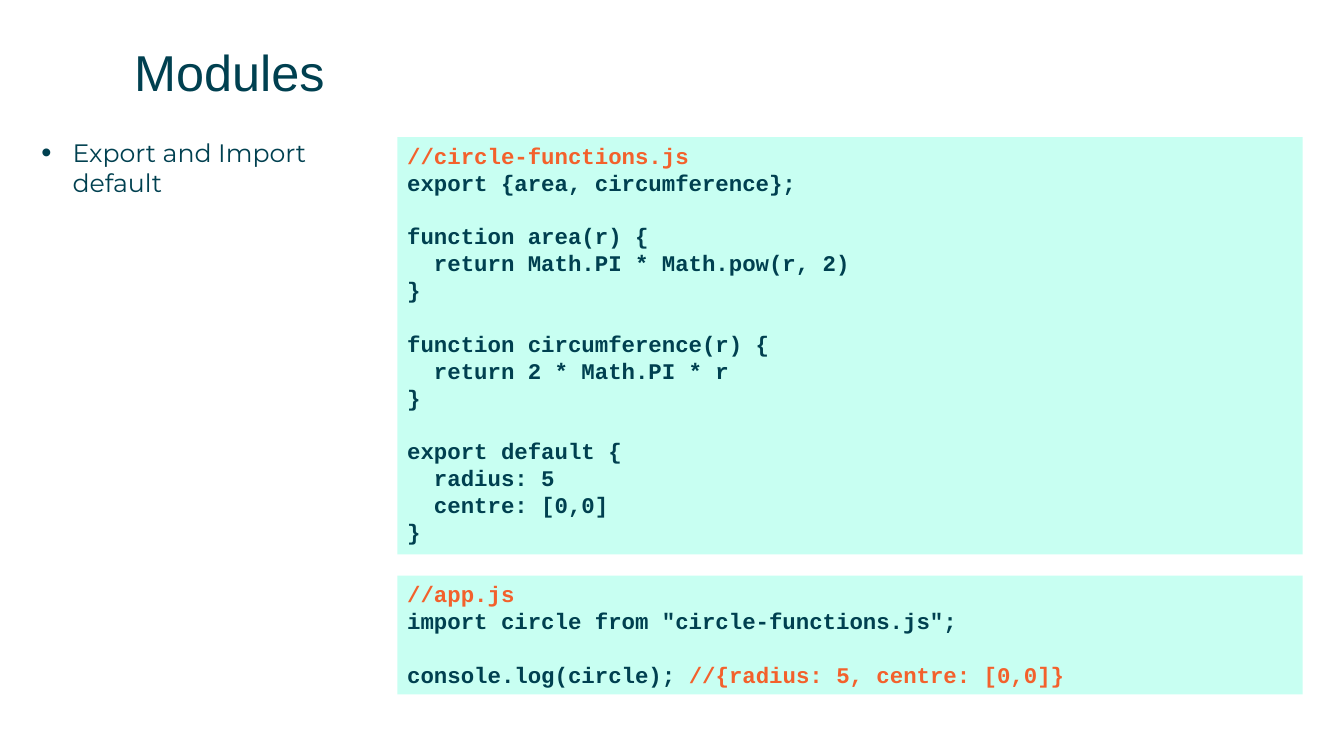
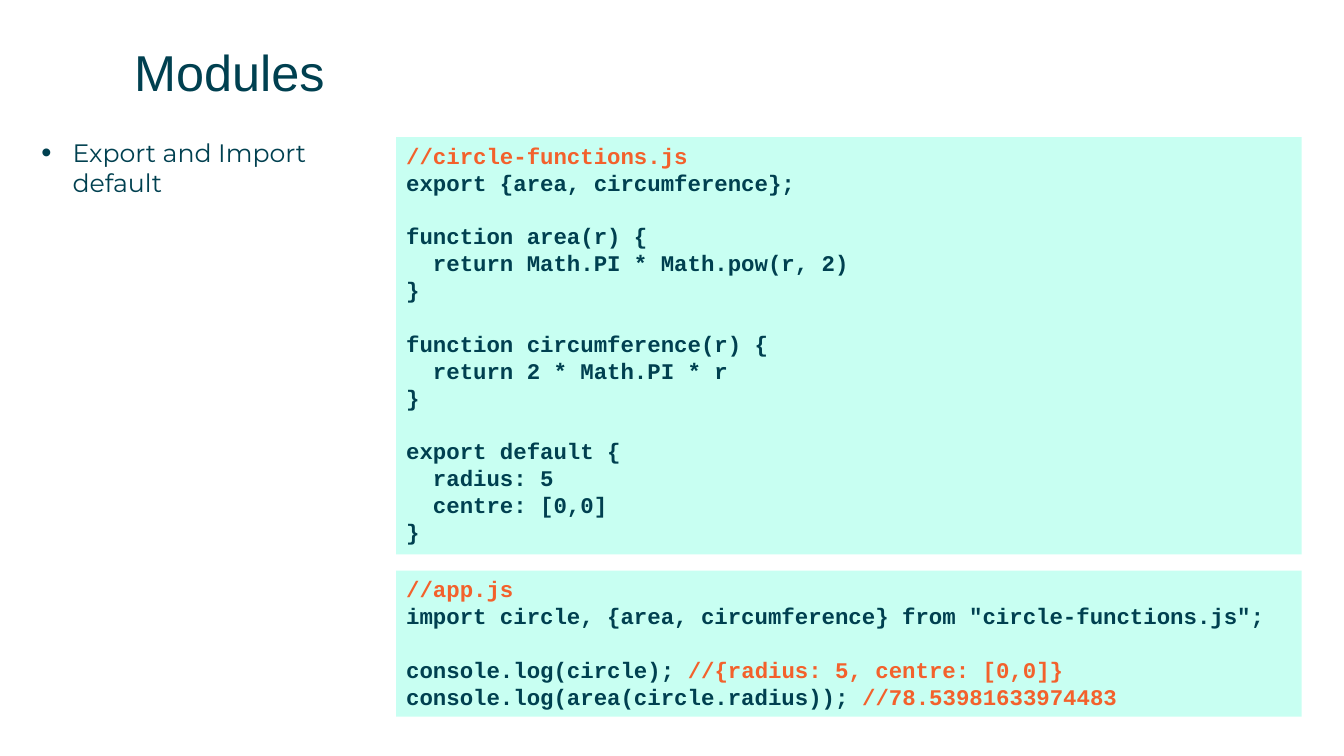
from pptx import Presentation
from pptx.dml.color import RGBColor
from pptx.enum.shapes import MSO_SHAPE
from pptx.enum.text import MSO_ANCHOR, MSO_AUTO_SIZE, PP_ALIGN
from pptx.oxml.ns import qn
from pptx.util import Inches, Pt
from lxml.etree import SubElement

TEAL = RGBColor(0x00, 0x40, 0x50)
MINT = RGBColor(0xC8, 0xFF, 0xF2)
CORAL = RGBColor(0xF3, 0x61, 0x2C)

TITLE = {"size": Pt(36), "name": "Arial"}
LIST = {"size": Pt(18), "name": "Montserrat"}
CODE = {"size": Pt(16), "name": "Courier New", "bold": True}
FRAME = {"word_wrap": True, "auto_size": MSO_AUTO_SIZE.NONE,
         "vertical_anchor": MSO_ANCHOR.TOP}
FLUSH = {"margin_left": 0, "margin_top": 0,
         "margin_right": 0, "margin_bottom": 0}
LEAD = Pt(19.2)
TOP = 1.36

CIRCLE = """//circle-functions.js
export {area, circumference};

function area(r) {
  return Math.PI * Math.pow(r, 2)
}

function circumference(r) {
  return 2 * Math.PI * r
}

export default {
  radius: 5
  centre: [0,0]
}"""

APP_ONE = """//app.js
import circle from "circle-functions.js";

console.log(circle); //{radius: 5, centre: [0,0]}"""

APP_TWO = """//app.js
import circle, {area, circumference} from "circle-functions.js";

console.log(circle); //{radius: 5, centre: [0,0]}
console.log(area(circle.radius)); //78.53981633974483"""

SLIDES = [
    (3.94, [(TOP, 4.14, CIRCLE), (5.71, 1.18, APP_ONE)]),
    (3.93, [(TOP, 4.14, CIRCLE), (5.66, 1.45, APP_TWO)]),
]


def apply(target, style):
    for key, value in style.items():
        setattr(target, key, value)


def add_run(para, text, style, color):
    run = para.add_run()
    run.text = text
    apply(run.font, style)
    run.font.color.rgb = color


def fill_holder(holder, box, text, style):
    names = ("left", "top", "width", "height")
    apply(holder, dict(zip(names, map(Inches, box))))
    frame = holder.text_frame
    apply(frame, FRAME | FLUSH)
    para = frame.paragraphs[0]
    apply(para, {"alignment": PP_ALIGN.LEFT, "space_before": Pt(0)})
    add_run(para, text, style, TEAL)
    return para


def add_bullet(para):
    para.space_after = Pt(6.5)
    props = para._p.get_or_add_pPr()
    props.set("marL", str(Inches(0.31)))
    props.set("indent", str(Inches(-0.31)))
    SubElement(props, qn("a:buSzPct"), val="115000")
    SubElement(props, qn("a:buFont"), typeface="Arial")
    SubElement(props, qn("a:buChar"), char="•")


def add_code(slide, left, top, height, code):
    panel = slide.shapes.add_shape(
        MSO_SHAPE.RECTANGLE, Inches(left), Inches(top),
        Inches(8.98), Inches(height))
    panel.shadow.inherit = False
    panel.fill.solid()
    panel.fill.fore_color.rgb = MINT
    panel.line.fill.background()
    frame = panel.text_frame
    apply(frame, FRAME)
    para, gap = frame.paragraphs[0], Pt(0)
    for num, line in enumerate(code.splitlines()):
        if not line:
            gap = LEAD
            continue
        if num:
            para = frame.add_paragraph()
        apply(para, {"alignment": PP_ALIGN.LEFT, "line_spacing": LEAD,
                     "space_before": gap})
        gap = Pt(0)
        plain, mark, note = line.partition("//")
        for text, color in ((plain, TEAL), (mark + note, CORAL)):
            if text:
                add_run(para, text, CODE, color)


def main():
    deck = Presentation()
    deck.slide_width, deck.slide_height = Inches(13.33), Inches(7.5)
    for left, panels in SLIDES:
        slide = deck.slides.add_slide(deck.slide_layouts[1])
        title, body = slide.placeholders
        fill_holder(title, (1.33, 0.41, 11.59, 0.57), "Modules", TITLE)
        add_bullet(fill_holder(body, (0.41, TOP, 3.52, 5.73),
                               "Export and Import default", LIST))
        for top, height, code in panels:
            add_code(slide, left, top, height, code)
    deck.save("out.pptx")


if __name__ == "__main__":
    main()
